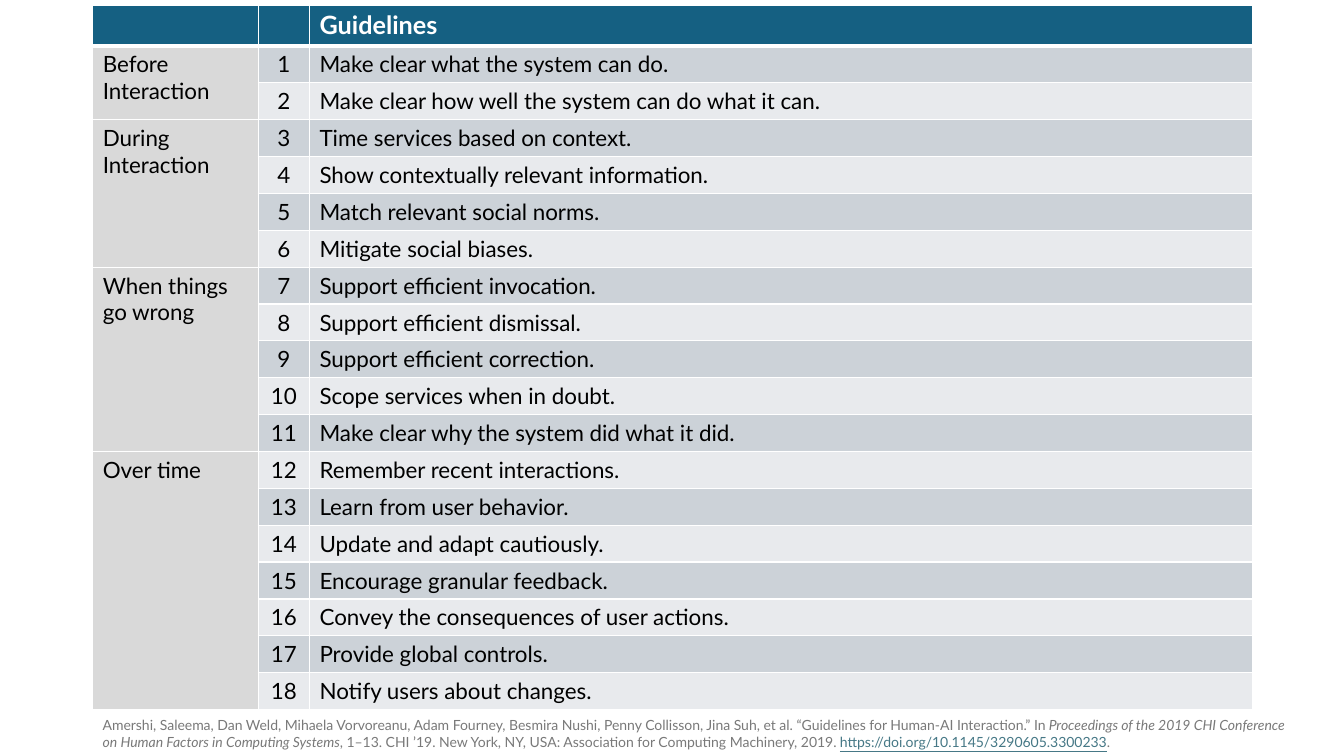
"""Build a slide that lists the guidelines for human-AI interaction by phase."""
from dataclasses import dataclass

from lxml.etree import SubElement as Sub
from pptx import Presentation
from pptx.dml.color import RGBColor as RGB
from pptx.enum.text import MSO_ANCHOR as Anchor, PP_ALIGN as Align
from pptx.oxml.ns import qn
from pptx.util import Inches, Pt

WHITE = RGB(0xFF, 0xFF, 0xFF)
BLACK = RGB(0x00, 0x00, 0x00)
BLUE = RGB(0x15, 0x60, 0x82)
PHASE = RGB(0xD9, 0xD9, 0xD9)
DARK = RGB(0xCC, 0xD2, 0xD8)
LIGHT = RGB(0xE8, 0xEA, 0xED)
GREY = RGB(0x79, 0x79, 0x79)
LINK = RGB(0x46, 0x78, 0x86)
WIDTHS = (1.64, 0.51, 9.35)
HEAD, ROW = 0.35, 0.33


@dataclass
class Phase:
    name: str
    rules: tuple[str, ...]


PHASES = [
    Phase("Before Interaction", (
        "Make clear what the system can do.",
        "Make clear how well the system can do what it can.",
    )),
    Phase("During Interaction", (
        "Time services based on context.",
        "Show contextually relevant information.",
        "Match relevant social norms.",
        "Mitigate social biases.",
    )),
    Phase("When things go wrong", (
        "Support efficient invocation.",
        "Support efficient dismissal.",
        "Support efficient correction.",
        "Scope services when in doubt.",
        "Make clear why the system did what it did.",
    )),
    Phase("Over time", (
        "Remember recent interactions.",
        "Learn from user behavior.",
        "Update and adapt cautiously.",
        "Encourage granular feedback.",
        "Convey the consequences of user actions.",
        "Provide global controls.",
        "Notify users about changes.",
    )),
]


def write(par, text: str, *, size: float = 16, color: RGB = BLACK, bold: bool = False,
          italic: bool = False, line: bool = False, align: Align = Align.LEFT) -> None:
    par.alignment = align
    run = par.add_run()
    run.text = text
    font = run.font
    font.name, font.size, font.color.rgb = "Lato", Pt(size), color
    font.bold, font.italic, font.underline = bold, italic, line


def paint(cell, fill: RGB, top: float = 1, base: float = 1) -> None:
    props = cell._tc.get_or_add_tcPr()
    for side, width in (("L", 1), ("R", 1), ("T", top), ("B", base)):
        edge = Sub(props, qn(f"a:ln{side}"), w=str(Pt(width)))
        Sub(Sub(edge, qn("a:solidFill")), qn("a:srgbClr"), val=str(WHITE))
    cell.fill.solid()
    cell.fill.fore_color.rgb = fill


def add_grid(slide) -> None:
    count = sum(len(phase.rules) for phase in PHASES)
    grid = slide.shapes.add_table(count + 1, len(WIDTHS), Inches(0.92), Inches(0.05),
                                  Inches(sum(WIDTHS)), Inches(HEAD + count * ROW)).table
    for col, width in zip(grid.columns, WIDTHS):
        col.width = Inches(width)
    for num, row in enumerate(grid.rows):
        row.height = Inches(ROW if num else HEAD)
        band = DARK if num % 2 else LIGHT
        for cell, fill in zip(row.cells, (PHASE, band, band)):
            paint(cell, fill if num else BLUE, 3 if num == 1 else 1, 1 if num else 3)
    write(grid.cell(0, 2).text_frame.paragraphs[0], "Guidelines",
          size=18, color=WHITE, bold=True)
    num = 1
    for phase in PHASES:
        first = grid.cell(num, 0)
        first.merge(grid.cell(num + len(phase.rules) - 1, 0))
        write(first.text_frame.paragraphs[0], phase.name)
        for rule in phase.rules:
            write(grid.cell(num, 1).text_frame.paragraphs[0], str(num), align=Align.CENTER)
            write(grid.cell(num, 2).text_frame.paragraphs[0], rule)
            num += 1


def add_source(slide) -> None:
    frame = slide.shapes.add_textbox(Inches(0.92), Inches(7.05),
                                     Inches(11.94), Inches(0.45)).text_frame
    frame.word_wrap = True
    frame.vertical_anchor = Anchor.MIDDLE
    par = frame.paragraphs[0]
    write(par, "Amershi, Saleema, Dan Weld, Mihaela Vorvoreanu, Adam Fourney, Besmira Nushi, "
          "Penny Collisson, Jina Suh, et al. “Guidelines for Human-AI Interaction.” In ",
          size=10, color=GREY)
    write(par, "Proceedings of the 2019 CHI Conference on Human Factors in Computing Systems",
          size=10, color=GREY, italic=True)
    write(par, ", 1–13. CHI ’19. New York, NY, USA: Association for Computing Machinery, 2019. ",
          size=10, color=GREY)
    write(par, "https://doi.org/10.1145/3290605.3300233", size=10, color=LINK, line=True)
    write(par, ".", size=10, color=GREY)


def main() -> None:
    deck = Presentation()
    deck.slide_width, deck.slide_height = Inches(13.33), Inches(7.5)
    slide = deck.slides.add_slide(deck.slide_layouts[6])
    add_grid(slide)
    add_source(slide)
    deck.save("out.pptx")


if __name__ == "__main__":
    main()
